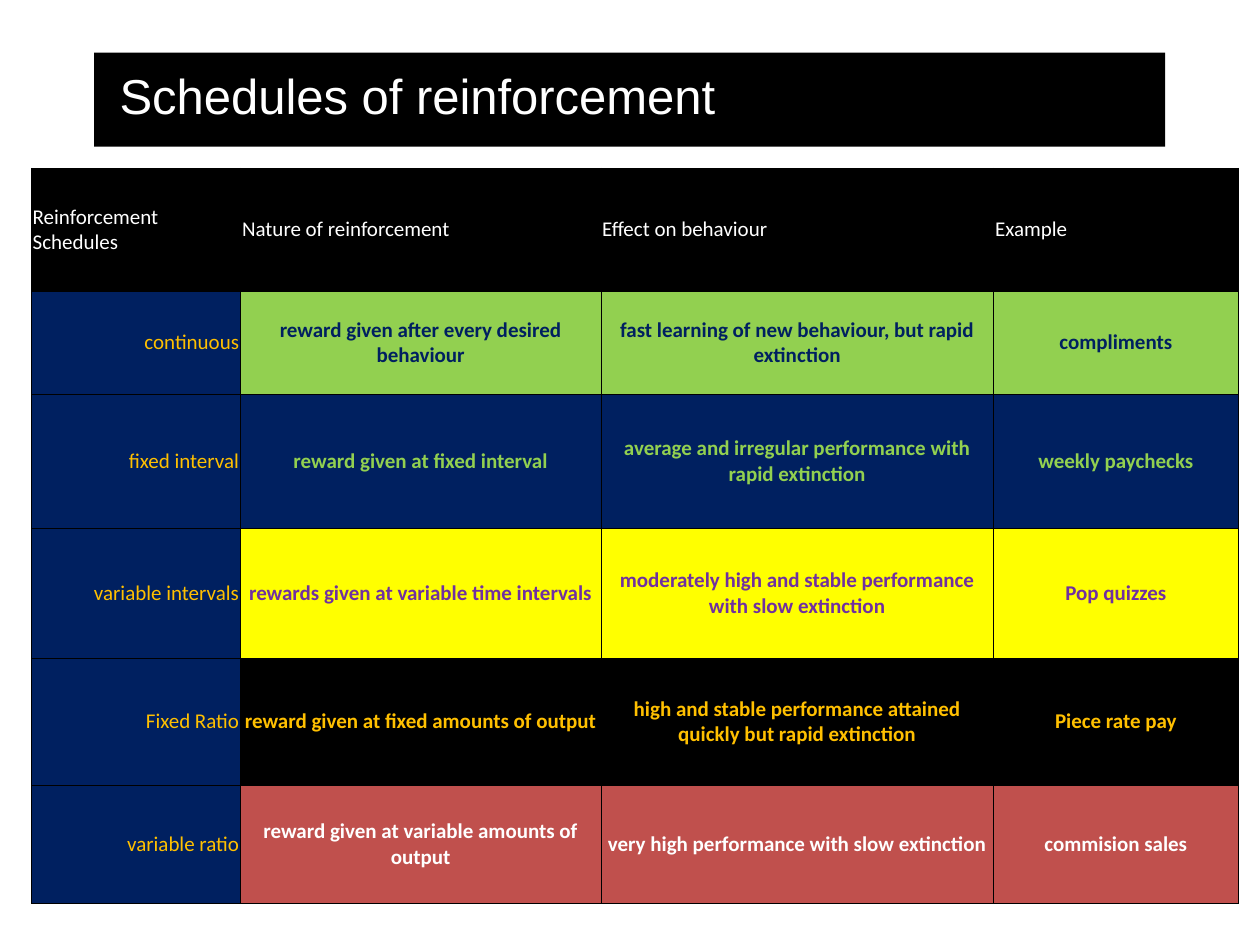
from collections import namedtuple
from dataclasses import dataclass

from lxml import etree
from pptx import Presentation
from pptx import util as u
from pptx.dml.color import RGBColor
from pptx.enum import shapes, text
from pptx.oxml.ns import qn

Box = namedtuple("Box", "left top width height")
Band = namedtuple("Band", "fill ink")


@dataclass(frozen=True)
class Theme:
    black: str = "000000"
    white: str = "FFFFFF"
    navy: str = "002060"
    green: str = "92D050"
    yellow: str = "FFFF00"
    purple: str = "7030A0"
    amber: str = "FFC000"
    red: str = "C0504D"
    title_font: str = "Arial"
    table_font: str = "Calibri"
    title_size: int = 28
    table_size: int = 12
    border_width: float = 0.23


THEME = Theme()
ALIGN = text.PP_ALIGN
MIDDLE = text.MSO_ANCHOR.MIDDLE

COLUMN_WIDTHS = (4.22, 7.26, 7.92, 4.93)
ROW_HEIGHTS = (2.48, 2.08, 2.7, 2.62, 2.56, 2.38)
HEADINGS = ("Reinforcement Schedules", "Nature of reinforcement",
            "Effect on behaviour", "Example")
SCHEDULES = (
    (Band(THEME.green, THEME.navy), "continuous",
     "reward given after every desired behaviour",
     "fast learning of new behaviour, but rapid extinction", "compliments"),
    (Band(THEME.navy, THEME.green), "fixed interval",
     "reward given at fixed interval",
     "average and irregular performance with rapid extinction",
     "weekly paychecks"),
    (Band(THEME.yellow, THEME.purple), "variable intervals",
     "rewards given at variable time intervals",
     "moderately high and stable performance with slow extinction",
     "Pop quizzes"),
    (Band(THEME.black, THEME.amber), "Fixed Ratio",
     "reward given at fixed amounts of output",
     "high and stable performance attained quickly but rapid extinction",
     "Piece rate pay"),
    (Band(THEME.red, THEME.white), "variable ratio",
     "reward given at variable amounts of output",
     "very high performance with slow extinction", "commision sales"),
)


def set_attributes(target, values):
    for name, value in values.items():
        setattr(target, name, value)


def paint(target, colour):
    target.fill.solid()
    target.fill.fore_color.rgb = RGBColor.from_string(colour)


def write(para, words, colour, align, **font):
    para.alignment = align
    span = para.add_run()
    span.text = words
    set_attributes(span.font, font)
    span.font.color.rgb = RGBColor.from_string(colour)


def add_borders(cell):
    """Draw a thin line on all four sides; lines must come before the fill."""
    properties = cell._tc.get_or_add_tcPr()
    for position, side in enumerate(("lnL", "lnR", "lnT", "lnB")):
        line = etree.Element(qn("a:" + side), w=str(u.Pt(THEME.border_width)))
        solid = etree.SubElement(line, qn("a:solidFill"))
        etree.SubElement(solid, qn("a:srgbClr"), val=THEME.black)
        properties.insert(position, line)


def add_title(page, box):
    bar = page.shapes.add_shape(shapes.MSO_SHAPE.RECTANGLE, *map(u.Cm, box))
    bar.shadow.inherit = False
    paint(bar, THEME.black)
    bar.line.fill.background()
    set_attributes(bar.text_frame, {
        "word_wrap": True, "vertical_anchor": MIDDLE,
        "margin_left": u.Cm(0.51), "margin_right": u.Cm(0.25),
        "margin_top": u.Cm(0.13), "margin_bottom": u.Cm(0.13)})
    para = bar.text_frame.paragraphs[0]
    para.line_spacing = 0.87
    write(para, "Schedules of reinforcement", THEME.white, ALIGN.LEFT,
          name=THEME.title_font, size=u.Pt(THEME.title_size))


def fill_cell(cell, words, band, align, bold):
    set_attributes(cell, {
        "vertical_anchor": MIDDLE,
        "margin_left": u.Cm(0.03), "margin_right": u.Cm(0.03),
        "margin_top": u.Cm(0.13), "margin_bottom": u.Cm(0.13)})
    paint(cell, band.fill)
    add_borders(cell)
    write(cell.text_frame.paragraphs[0], words, band.ink, align,
          name=THEME.table_font, size=u.Pt(THEME.table_size), bold=bold)


def add_schedule_table(page, box):
    """Fit the columns and rows to the box in their given proportions."""
    table = page.shapes.add_table(len(ROW_HEIGHTS), len(COLUMN_WIDTHS),
                                  *map(u.Cm, box)).table
    set_attributes(table, {"first_row": False, "horz_banding": False})
    for column, width in zip(table.columns, COLUMN_WIDTHS):
        column.width = u.Cm(box.width * width / sum(COLUMN_WIDTHS))
    for row, height in zip(table.rows, ROW_HEIGHTS):
        row.height = u.Cm(box.height * height / sum(ROW_HEIGHTS))

    header = Band(THEME.black, THEME.white)
    for column, heading in enumerate(HEADINGS):
        fill_cell(table.cell(0, column), heading, header, ALIGN.LEFT, False)

    label = Band(THEME.navy, THEME.amber)
    for row, (band, schedule, *details) in enumerate(SCHEDULES, start=1):
        fill_cell(table.cell(row, 0), schedule, label, ALIGN.RIGHT, False)
        for column, detail in enumerate(details, start=1):
            fill_cell(table.cell(row, column), detail, band, ALIGN.CENTER, True)


def main():
    deck = Presentation()
    set_attributes(deck, {"slide_width": u.Cm(25.4), "slide_height": u.Cm(19.05)})
    page = deck.slides.add_slide(deck.slide_layouts[6])
    add_title(page, Box(1.9, 1.06, 21.59, 1.9))
    add_schedule_table(page, Box(0.63, 3.39, 24.33, 14.82))
    deck.save("out.pptx")


if __name__ == "__main__":
    main()
